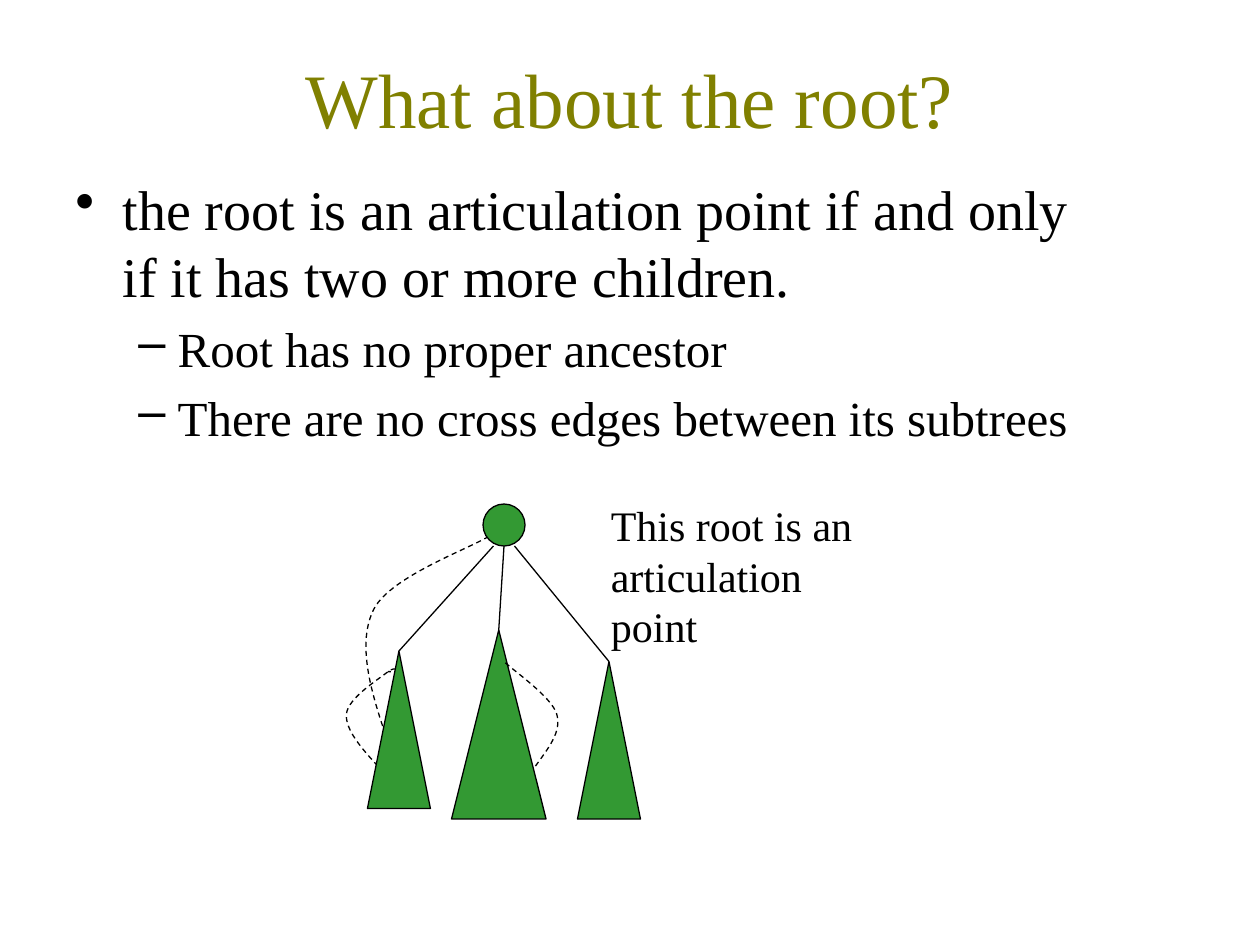
from pptx import Presentation
from pptx.dml.color import RGBColor
from pptx.enum.dml import MSO_LINE
from pptx.enum.shapes import MSO_CONNECTOR, MSO_SHAPE
from pptx.enum.text import PP_ALIGN, MSO_ANCHOR
from pptx.oxml.ns import qn
from pptx.oxml.xmlchemy import OxmlElement
from pptx.util import Pt

OLIVE = RGBColor(0x80, 0x80, 0x00)
GREEN = RGBColor(0x33, 0x99, 0x33)
BLACK = RGBColor(0, 0, 0)
FONT = "Times New Roman"

# Content: text, size, bullet, left margin, hanging indent, level
TITLE = [("What about the root?", 44, None, 0, 0, 0)]
POINTS = [
    ("the root is an articulation point if and only if it has two or more children.",
     32, "•", 27, 27, 0),
    ("Root has no proper ancestor", 28, "–", 58.5, 22.5, 1),
    ("There are no cross edges between its subtrees", 28, "–", 58.5, 22.5, 1),
]
NOTE = [("This root is an articulation point", 24, None, 0, 0, 0)]

# Tree: root circle, subtrees, edges and dashed back edges (Bezier points)
ROOT = (276, 288, 24, 24)
TREES = [(210, 372, 36, 90), (258, 360, 54, 108), (330, 378, 36, 90)]
EDGES = [(282, 228, 372), (288, 282, 408), (294, 348, 378)]
LEFT = [
    [(216, 437.8), (206.6, 427.7), (197.3, 416.9), (198, 408.2),
     (198.7, 398.9), (216.7, 388), (221.8, 383.8),
     (226.8, 380.2), (228.2, 383.8), (228.2, 383.8),
     (228.2, 383.8), (224.6, 383.8), (221.8, 383.8)],
    [(220.3, 419.8), (211.7, 394.2), (203.8, 367.2), (213.8, 347.8),
     (223.9, 329), (269.3, 313.2), (280.1, 306)],
]
RIGHT = [(306, 437.8), (313.2, 427.7), (321.1, 418.3), (318.2, 408.2),
         (315.4, 398.2), (293, 383), (288, 378)]

deck = Presentation()
deck.slide_width, deck.slide_height = Pt(720), Pt(540)
slide = deck.slides.add_slide(deck.slide_layouts[6])
shapes = slide.shapes


def add_text(rows, box, color=BLACK, align=PP_ALIGN.LEFT, inset=3.6):
    frame = shapes.add_textbox(*map(Pt, box)).text_frame
    frame.word_wrap = True
    frame.vertical_anchor = MSO_ANCHOR.TOP
    frame.margin_top = Pt(inset)
    for i, (text, size, mark, left, hang, level) in enumerate(rows):
        para = frame.add_paragraph() if i else frame.paragraphs[0]
        para.alignment, para.level = align, level
        para.space_before = Pt(size * 0.2 if i else 0)
        run = para.add_run()
        run.text = text
        font = run.font
        font.name, font.size, font.color.rgb = FONT, Pt(size), color
        if mark:
            props = para._p.get_or_add_pPr()
            props.set("marL", str(Pt(left)))
            props.set("indent", str(-Pt(hang)))
            bullet = OxmlElement("a:buChar")
            bullet.set("char", mark)
            props.append(bullet)


def outline(shape):
    shape.line.color.rgb = BLACK
    shape.line.width = Pt(0.75)


def add_node(kind, box):
    node = shapes.add_shape(kind, *map(Pt, box))
    node.shadow.inherit = False
    node.fill.solid()
    node.fill.fore_color.rgb = GREEN
    outline(node)


def add_curve(points):
    spots = [(Pt(x), Pt(y)) for x, y in points]
    form = shapes.build_freeform(*spots[0], scale=1.0)
    form.add_line_segments(spots[1:], close=False)
    curve = form.convert_to_shape()
    curve.shadow.inherit = False
    curve.fill.background()
    outline(curve)
    curve.line.dash_style = MSO_LINE.DASH
    # Turn each three straight segments into one cubic segment
    steps = list(curve._element.iter(qn("a:lnTo")))
    for i in range(0, len(steps), 3):
        cubic = OxmlElement("a:cubicBezTo")
        steps[i].addprevious(cubic)
        for step in steps[i:i + 3]:
            cubic.append(step[0])
            step.getparent().remove(step)


# Text
add_text(TITLE, (36, 21.6, 648, 90), color=OLIVE, align=PP_ALIGN.CENTER, inset=8)
add_text(POINTS, (36, 96, 606, 138))

# Tree
for points in LEFT:
    add_curve(points)
for start, x, y in EDGES:
    edge = shapes.add_connector(MSO_CONNECTOR.STRAIGHT, Pt(start), Pt(312), Pt(x), Pt(y))
    outline(edge)
    edge._element.spPr.append(OxmlElement("a:effectLst"))
for box in TREES:
    add_node(MSO_SHAPE.ISOSCELES_TRIANGLE, box)
add_node(MSO_SHAPE.OVAL, ROOT)
add_curve(RIGHT)

# Note
add_text(NOTE, (342, 282, 174, 50.4))

deck.save("out.pptx")
